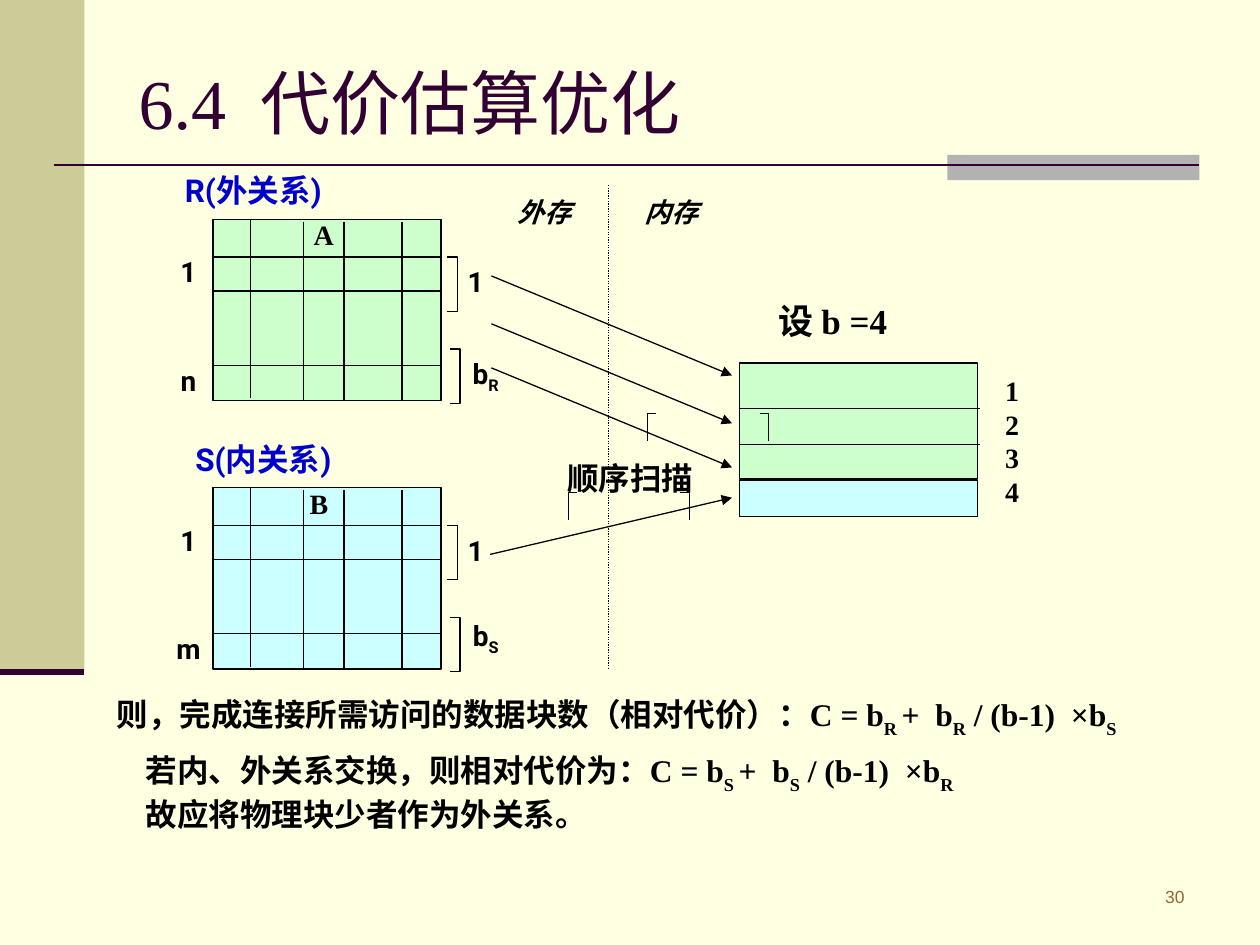
from dataclasses import dataclass

from lxml.etree import SubElement
from pptx import Presentation
from pptx.dml.color import RGBColor
from pptx.enum.dml import MSO_LINE
from pptx.enum.shapes import MSO_CONNECTOR, MSO_SHAPE
from pptx.enum.text import MSO_ANCHOR, PP_ALIGN
from pptx.oxml.ns import qn
from pptx.util import Inches, Pt

SERIF, SANS = "Times New Roman", "Roboto"
BLACK, BLUE, PLUM = "000000", "0000CC", "330033"
GREEN, CYAN = "CCFFCC", "CCFFFF"


@dataclass
class Style:
    size: float = 16
    font: str = SERIF
    color: str = BLACK
    bold: bool = True
    italic: bool = False
    align: PP_ALIGN = PP_ALIGN.LEFT
    anchor: MSO_ANCHOR = MSO_ANCHOR.TOP
    inset: bool = True
    baseline: int = -25
    spacing: float = 1


@dataclass
class Relation:
    name: str
    name_left: float
    attribute: str
    attribute_left: float
    last_row: str
    last_row_top: float
    fill: str
    top: float
    subscript_top: float


LABEL = Style(font=SANS, align=PP_ALIGN.CENTER, anchor=MSO_ANCHOR.MIDDLE, inset=False)
HEADING = Style(18, SANS, BLUE, align=PP_ALIGN.CENTER)
SCAN = Style(18, SANS, align=PP_ALIGN.CENTER)
MEMORY = Style(15.3, italic=True, spacing=0.9)
FORMULA = Style(18, anchor=MSO_ANCHOR.MIDDLE, baseline=-30)


def rgb(value: str) -> RGBColor:
    return RGBColor.from_string(value)


def write(tf, lines: list[str], style: Style) -> None:
    """Write one paragraph per line; parts between bars are subscripts."""
    tf.word_wrap = True
    tf.vertical_anchor = style.anchor
    tf.margin_left = tf.margin_right = Inches(0.1 if style.inset else 0)
    tf.margin_top = tf.margin_bottom = Inches(0.05 if style.inset else 0)
    for i, line in enumerate(lines):
        p = tf.paragraphs[0] if i == 0 else tf.add_paragraph()
        p.alignment = style.align
        p.line_spacing = style.spacing
        for j, part in enumerate(line.split("|")):
            if not part:
                continue
            r = p.add_run()
            r.text = part
            r.font.name, r.font.size = style.font, Pt(style.size)
            r.font.bold, r.font.italic = style.bold, style.italic
            r.font.color.rgb = rgb(style.color)
            if j % 2:
                r._r.get_or_add_rPr().set("baseline", str(style.baseline * 1000))


def add_text(s, x: float, y: float, w: float, h: float, lines: list[str], style: Style):
    box = s.shapes.add_textbox(Inches(x), Inches(y), Inches(w), Inches(h))
    write(box.text_frame, lines, style)
    return box


def add_box(s, x: float, y: float, w: float, h: float, fill: str, outline: bool = True) -> None:
    sp = s.shapes.add_shape(MSO_SHAPE.RECTANGLE, Inches(x), Inches(y), Inches(w), Inches(h))
    sp.shadow.inherit = False
    sp.fill.solid()
    sp.fill.fore_color.rgb = rgb(fill)
    if outline:
        sp.line.color.rgb, sp.line.width = rgb(BLACK), Pt(0.75)
    else:
        sp.line.fill.background()


def add_line(s, x1: float, y1: float, x2: float, y2: float,
             color: str = BLACK, width: float = 0.75, arrow: bool = False):
    cx = s.shapes.add_connector(MSO_CONNECTOR.STRAIGHT, Inches(x1), Inches(y1), Inches(x2), Inches(y2))
    cx.line.color.rgb, cx.line.width = rgb(color), Pt(width)
    if arrow:
        SubElement(cx.line._get_or_add_ln(), qn("a:tailEnd"), type="triangle")
    SubElement(cx._element.spPr, qn("a:effectLst"))
    return cx


def add_path(s, points: list[tuple[float, float]]) -> None:
    start, *rest = [(Inches(x), Inches(y)) for x, y in points]
    builder = s.shapes.build_freeform(*start, scale=1.0)
    builder.add_line_segments(rest, close=False)
    sp = builder.convert_to_shape()
    sp.shadow.inherit = False
    sp.fill.background()
    sp.line.color.rgb, sp.line.width = rgb(BLACK), Pt(0.75)


def add_ceiling(s, x: float, y: float) -> None:
    """Draw the left and right halves of a ceiling bracket."""
    for edge, inward in ((x, 0.07), (x + 0.96, -0.07)):
        add_path(s, [(edge + inward, y), (edge, y), (edge, y + 0.22)])


def add_relation(s, rel: Relation) -> None:
    left, top = 1.69, rel.top
    add_box(s, left, top, 1.81, 1.44, rel.fill)
    for dy in (0.3, 0.57, 1.16):
        add_line(s, left, top + dy, 3.51, top + dy)
    for x, dy in ((1.99, 0), (2.41, 0.02), (2.73, 0.02), (3.19, 0.02)):
        add_line(s, x, top + dy, x, top + dy + 1.42)
    # Block brackets at the right edge
    for x, y in ((3.55, top + 0.3), (3.57, top + 1.03)):
        add_path(s, [(x, y), (x + 0.08, y), (x + 0.08, y + 0.43), (x, y + 0.43)])
    # Name, attribute, row and block labels
    add_text(s, rel.name_left, top - 0.43, 1.42, 0.4, [f"{rel.name}"], HEADING)
    add_text(s, rel.attribute_left, top - 0.06, 0.48, 0.43, [rel.attribute], Style())
    add_text(s, 1.3, top + 0.28, 0.39, 0.27, ["1"], LABEL)
    add_text(s, 1.3, rel.last_row_top, 0.39, 0.27, [rel.last_row], LABEL)
    add_text(s, 3.58, top + 0.36, 0.39, 0.27, ["1"], LABEL)
    add_text(s, 3.66, rel.subscript_top, 0.39, 0.3, [f"b|{rel.name[0]}|"], LABEL)


def main() -> None:
    prs = Presentation()
    prs.slide_width, prs.slide_height = Inches(10), Inches(7.5)
    s = prs.slides.add_slide(prs.slide_layouts[5])
    s.background.fill.solid()
    s.background.fill.fore_color.rgb = rgb("FFFFE1")

    # Side band, rules and page number
    add_box(s, 0, 0, 0.67, 5.33, "CCCC99", outline=False)
    add_box(s, 7.52, 1.23, 2, 0.2, "B2B2B2", outline=False)
    add_line(s, 0.43, 1.31, 9.52, 1.31, PLUM, 1.5)
    add_line(s, 0, 5.33, 0.67, 5.33, PLUM, 3.5)
    add_text(s, 8.23, 6.98, 1.27, 0.35, ["30"],
             Style(10, "Arial", "996633", bold=False, align=PP_ALIGN.RIGHT))

    # Title
    title = s.shapes.title
    title.left, title.top, title.width, title.height = map(Inches, (1, 0.3, 8.5, 1.01))
    write(title.text_frame, ["6.4  代价估算优化"],
          Style(40, color=PLUM, bold=False, anchor=MSO_ANCHOR.MIDDLE))

    # Relations on disk
    for rel in (
        Relation("R(外关系)", 1.3, "A", 2.39, "n", 2.88, GREEN, 1.74, 2.83),
        Relation("S(内关系)", 1.38, "B", 2.36, "m", 5.01, CYAN, 3.87, 4.91),
    ):
        add_relation(s, rel)

    # Memory buffer
    add_box(s, 5.87, 2.88, 1.89, 0.92, GREEN)
    add_box(s, 5.87, 3.81, 1.89, 0.29, CYAN)
    for y in (3.24, 3.53):
        add_line(s, 5.87, y, 7.78, y)
    add_text(s, 7.88, 2.82, 0.43, 1.36, list("1234"), Style(anchor=MSO_ANCHOR.MIDDLE))
    add_text(s, 5.94, 2.38, 1.34, 0.33, ["设 b =4"],
             Style(20, align=PP_ALIGN.CENTER, anchor=MSO_ANCHOR.MIDDLE, inset=False))

    # Disk and memory divider
    add_line(s, 4.83, 1.47, 4.83, 5.31).line.dash_style = MSO_LINE.ROUND_DOT
    for x, name in ((4.01, "外存"), (5.02, "内存")):
        add_text(s, x, 1.53, 0.8, 0.43, [name], MEMORY)

    # Block transfers
    for y in (2.19, 2.57, 2.92):
        add_line(s, 3.9, y, 5.81, y + 0.79, arrow=True)
    add_line(s, 3.89, 4.4, 5.81, 3.95, arrow=True)
    add_text(s, 4.29, 3.59, 1.42, 0.4, ["顺序扫描"], SCAN)
    add_ceiling(s, 5.14, 3.28)
    add_ceiling(s, 4.51, 3.91)

    # Cost formulas
    cost = "C = b|{0} |+  b|{0}| / (b-1)  ×b|{1}|"
    add_text(s, 0.83, 5.46, 8.9, 0.46,
             ["则，完成连接所需访问的数据块数（相对代价）：" + cost.format("R", "S")], FORMULA)
    swap = add_text(s, 1.06, 5.89, 7.72, 0.79,
                    ["若内、外关系交换，则相对代价为：" + cost.format("S", "R"),
                     "故应将物理块少者作为外关系。"], FORMULA)
    swap.text_frame.paragraphs[1].runs[0].font.name = "Arial"

    prs.save("out.pptx")


if __name__ == "__main__":
    main()
